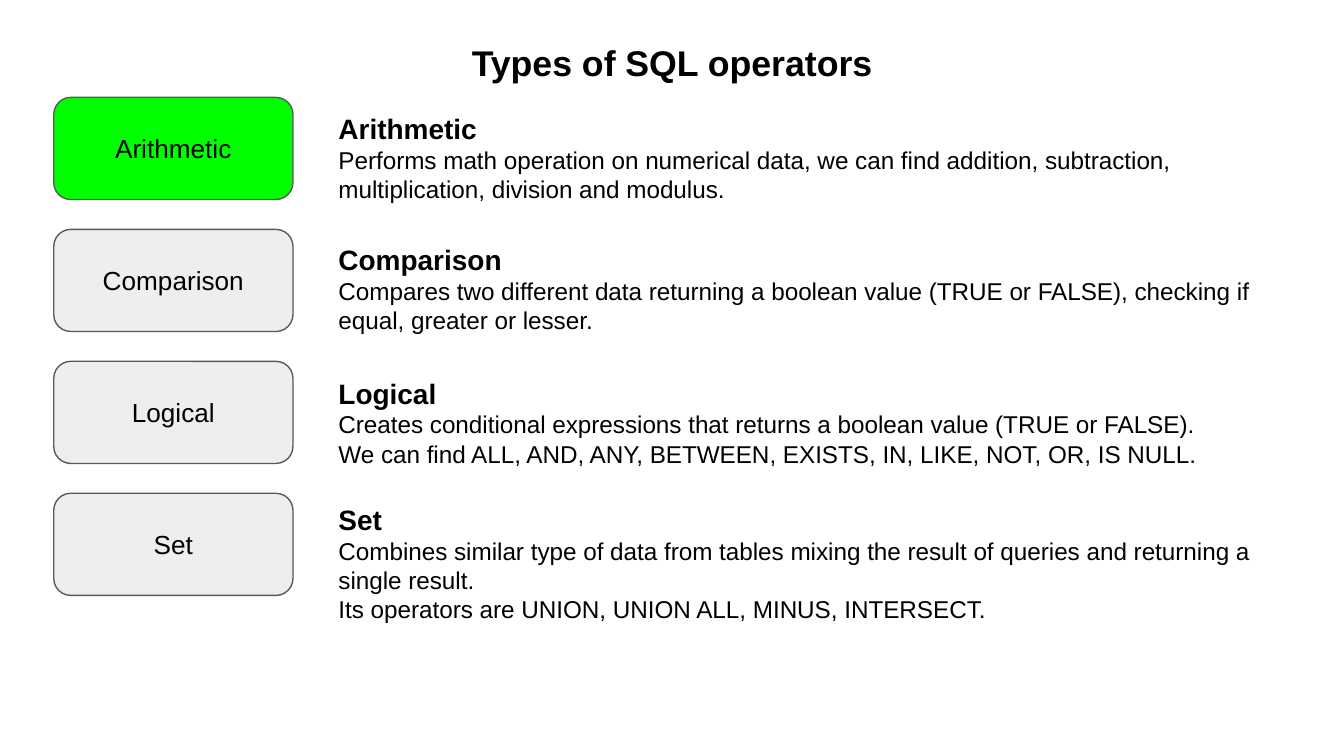
from pptx import Presentation
from pptx.dml.color import RGBColor
from pptx.enum.shapes import MSO_SHAPE
from pptx.enum.text import MSO_ANCHOR, PP_ALIGN
from pptx.util import Inches, Pt

ROUND = MSO_SHAPE.ROUNDED_RECTANGLE
TOP, MID, LOW = MSO_ANCHOR.TOP, MSO_ANCHOR.MIDDLE, MSO_ANCHOR.BOTTOM
LEFT, CENTER = PP_ALIGN.LEFT, PP_ALIGN.CENTER


def color(code):
    return RGBColor.from_string(code)


def write(shape, lines, sizes, bold, align, anchor):
    """Fill a shape with lines; the first size is the heading's."""
    frame = shape.text_frame
    frame.word_wrap = True
    frame.vertical_anchor = anchor
    frame.margin_left = frame.margin_right = Inches(0.1)
    frame.margin_top = frame.margin_bottom = Inches(0.1)
    frame.text = "\n".join(lines)
    for i, para in enumerate(frame.paragraphs):
        para.alignment = align
        font = para.runs[0].font
        font.name = "Arial"
        font.size = Pt(sizes[min(i, 1)])
        font.bold = bold and i == 0
        font.color.rgb = color("000000")


# Slide, 16:9
deck = Presentation()
deck.slide_width = Inches(10)
deck.slide_height = deck.slide_width * 9 // 16
slide = deck.slides.add_slide(deck.slide_layouts[6])
shapes = slide.shapes

# Grid: a column of buttons and a column of notes
edge, wide, high = Inches(0.4), Inches(1.78), Inches(0.76)
first, step = Pt(52.2), Pt(70.7)
note_x, note_w = Inches(2.42), Inches(7.24)

# Title
title = shapes.add_textbox(Inches(0.34), Inches(0.25), Inches(9.32), Inches(0.47))
write(title, ["Types of SQL operators"], [19.1], True, CENTER, LOW)
title.text_frame.paragraphs[0].line_spacing = 0.8

# Operators: fill, nudge of the note in points, name, lines
rows = [
    ("00FF00", 0.3, "Arithmetic", [
        "Performs math operation on numerical data, we can find addition, "
        "subtraction, multiplication, division and modulus."]),
    ("EEEEEE", 0, "Comparison", [
        "Compares two different data returning a boolean value (TRUE or FALSE), "
        "checking if equal, greater or lesser."]),
    ("EEEEEE", 0.7, "Logical", [
        "Creates conditional expressions that returns a boolean value (TRUE or FALSE).",
        "We can find ALL, AND, ANY, BETWEEN, EXISTS, IN, LIKE, NOT, OR, IS NULL."]),
    ("EEEEEE", -2.3, "Set", [
        "Combines similar type of data from tables mixing the result of queries "
        "and returning a single result.",
        "Its operators are UNION, UNION ALL, MINUS, INTERSECT."]),
]

for i, (fill, nudge, name, lines) in enumerate(rows):
    y = first + i * step

    # Button
    button = shapes.add_shape(ROUND, edge, y, wide, high)
    button.shadow.inherit = False
    button.fill.solid()
    button.fill.fore_color.rgb = color(fill)
    button.line.color.rgb = color("595959")
    button.line.width = Pt(0.75)
    write(button, [name], [14], False, CENTER, MID)

    # Note
    note = shapes.add_textbox(note_x, y + Pt(nudge), note_w, high)
    write(note, [name] + lines, [15, 13], True, LEFT, TOP)

deck.save("out.pptx")
